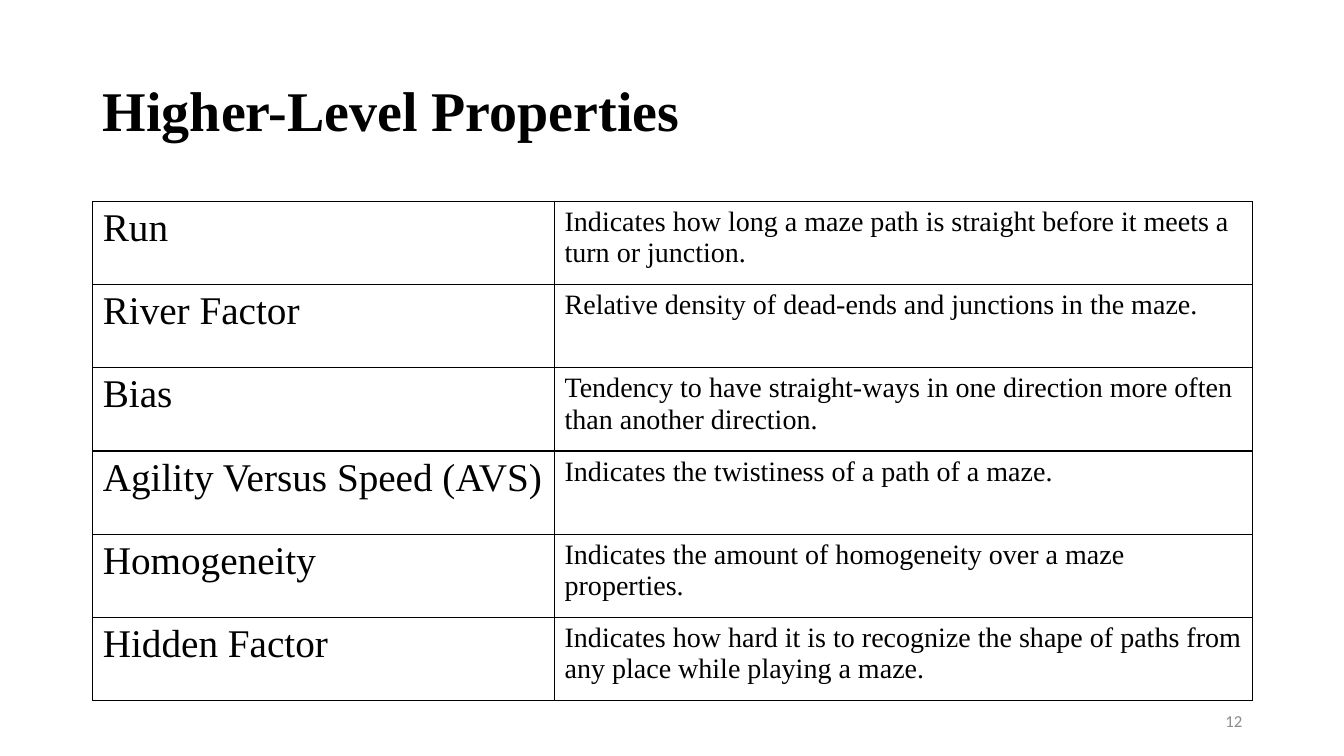
from lxml.etree import SubElement
from pptx import Presentation
from pptx.dml.color import RGBColor
from pptx.enum.text import MSO_ANCHOR as ANCHOR, MSO_AUTO_SIZE as AUTO, PP_ALIGN as ALIGN
from pptx.oxml.ns import qn
from pptx.util import Inches, Pt

BLACK = RGBColor(0, 0, 0)
GRAY = RGBColor(0x8C, 0x8C, 0x8C)
SERIF, SANS = "Times New Roman", "Calibri"
LEFT, WIDTH = 0.92, 11.5
PROPERTIES = [
    ("Run", "Indicates how long a maze path is straight before it meets a turn or junction."),
    ("River Factor", "Relative density of dead-ends and junctions in the maze."),
    ("Bias", "Tendency to have straight-ways in one direction more often than another direction."),
    ("Agility Versus Speed (AVS)", "Indicates the twistiness of a path of a maze."),
    ("Homogeneity", "Indicates the amount of homogeneity over a maze properties."),
    ("Hidden Factor", "Indicates how hard it is to recognize the shape of paths from any place while playing a maze."),
]


class SlideBuilder:
    """Adds styled elements to the current slide."""

    def __init__(self, prs):
        """Start a title-only slide."""
        self.slide = prs.slides.add_slide(prs.slide_layouts[5])

    def set_text(self, tf, text, size, font=SERIF, color=BLACK, bold=False, align=ALIGN.LEFT):
        """Fill a text frame with one formatted paragraph."""
        tf.text = text
        tf.word_wrap = True
        p = tf.paragraphs[0]
        p.alignment = align
        f = p.runs[0].font
        f.name, f.size, f.bold = font, Pt(size), bold
        f.color.rgb = color
        return p

    def title(self, text, top, height):
        """Place and format the title placeholder."""
        sp = self.slide.shapes.title
        sp.left, sp.top = Inches(LEFT), Inches(top)
        sp.width, sp.height = Inches(WIDTH), Inches(height)
        p = self.set_text(sp.text_frame, text, 40, bold=True)
        p.line_spacing = 0.9
        sp.text_frame.auto_size = AUTO.NONE
        sp.text_frame.vertical_anchor = ANCHOR.MIDDLE

    def border(self, cell):
        """Draw a thin black line on every side of a cell."""
        tcPr = cell._tc.get_or_add_tcPr()
        for side in ("lnL", "lnR", "lnT", "lnB"):
            ln = SubElement(tcPr, qn(f"a:{side}"), w=str(Pt(1)))
            fill = SubElement(ln, qn("a:solidFill"))
            SubElement(fill, qn("a:srgbClr"), val=str(BLACK))

    def table(self, rows, top, height, widths, sizes):
        """Add a plain bordered table with one text size per column."""
        table = self.slide.shapes.add_table(
            len(rows), len(widths), Inches(LEFT), Inches(top), Inches(WIDTH), Inches(height)
        ).table
        table.first_row = table.horz_banding = False
        for column, width in zip(table.columns, widths):
            column.width = Inches(width)
        for i, row in enumerate(rows):
            for j, (text, size) in enumerate(zip(row, sizes)):
                cell = table.cell(i, j)
                self.border(cell)
                cell.fill.background()
                self.set_text(cell.text_frame, text, size)

    def page_number(self, text, left, top, width, height):
        """Add the right-aligned page number."""
        sp = self.slide.shapes.add_textbox(Inches(left), Inches(top), Inches(width), Inches(height))
        self.set_text(sp.text_frame, text, 12, SANS, GRAY, align=ALIGN.RIGHT)
        sp.text_frame.vertical_anchor = ANCHOR.MIDDLE


def main():
    """Build and save the slide."""
    prs = Presentation()
    prs.slide_width, prs.slide_height = Inches(13.33), Inches(7.5)
    s = SlideBuilder(prs)
    s.title("Higher-Level Properties", 0.4, 1.45)
    s.table(PROPERTIES, 2, 4.95, widths=(4.58, 6.92), sizes=(28, 20))
    s.page_number("12", 9.42, 6.95, 3, 0.4)
    prs.save("out.pptx")


if __name__ == "__main__":
    main()
